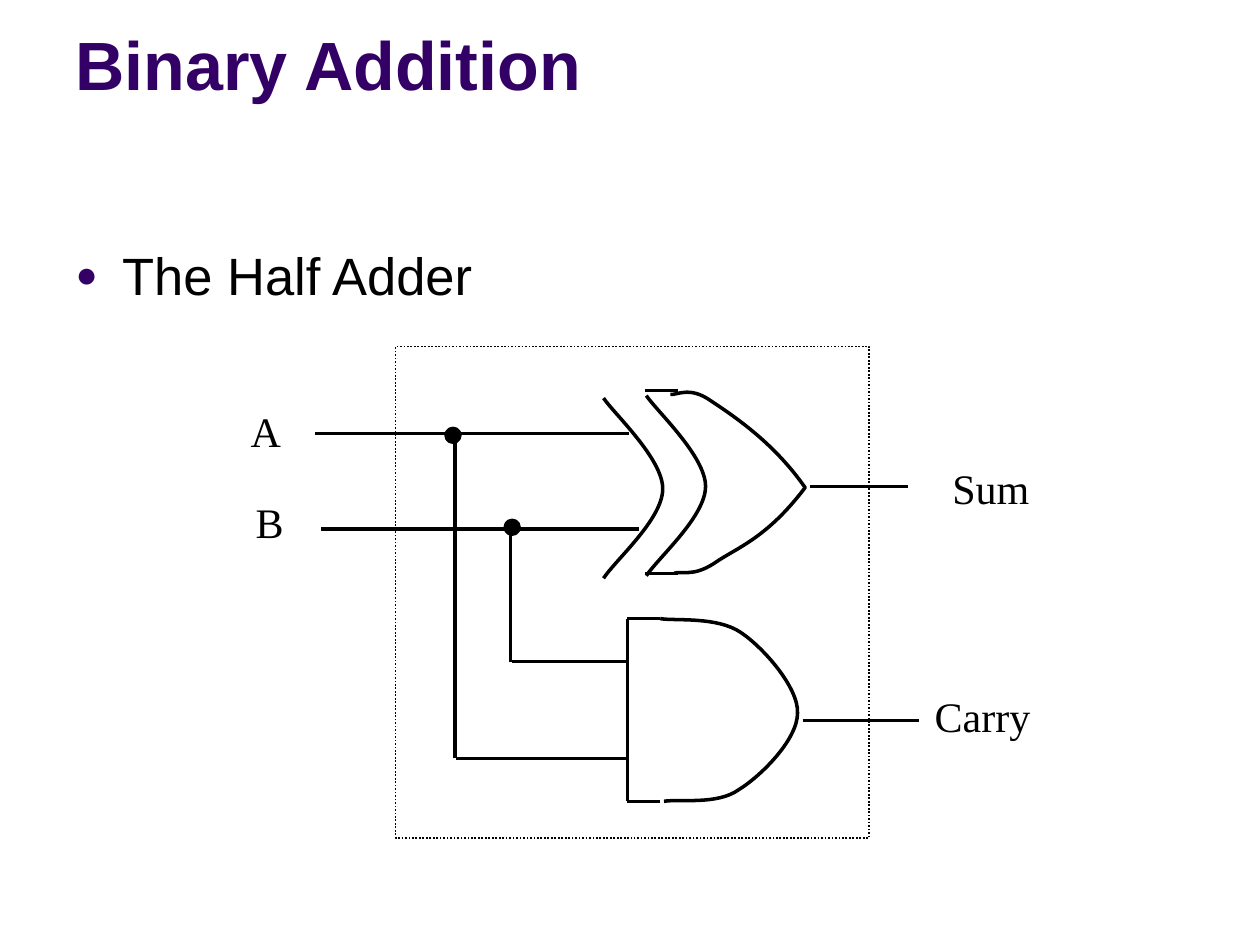
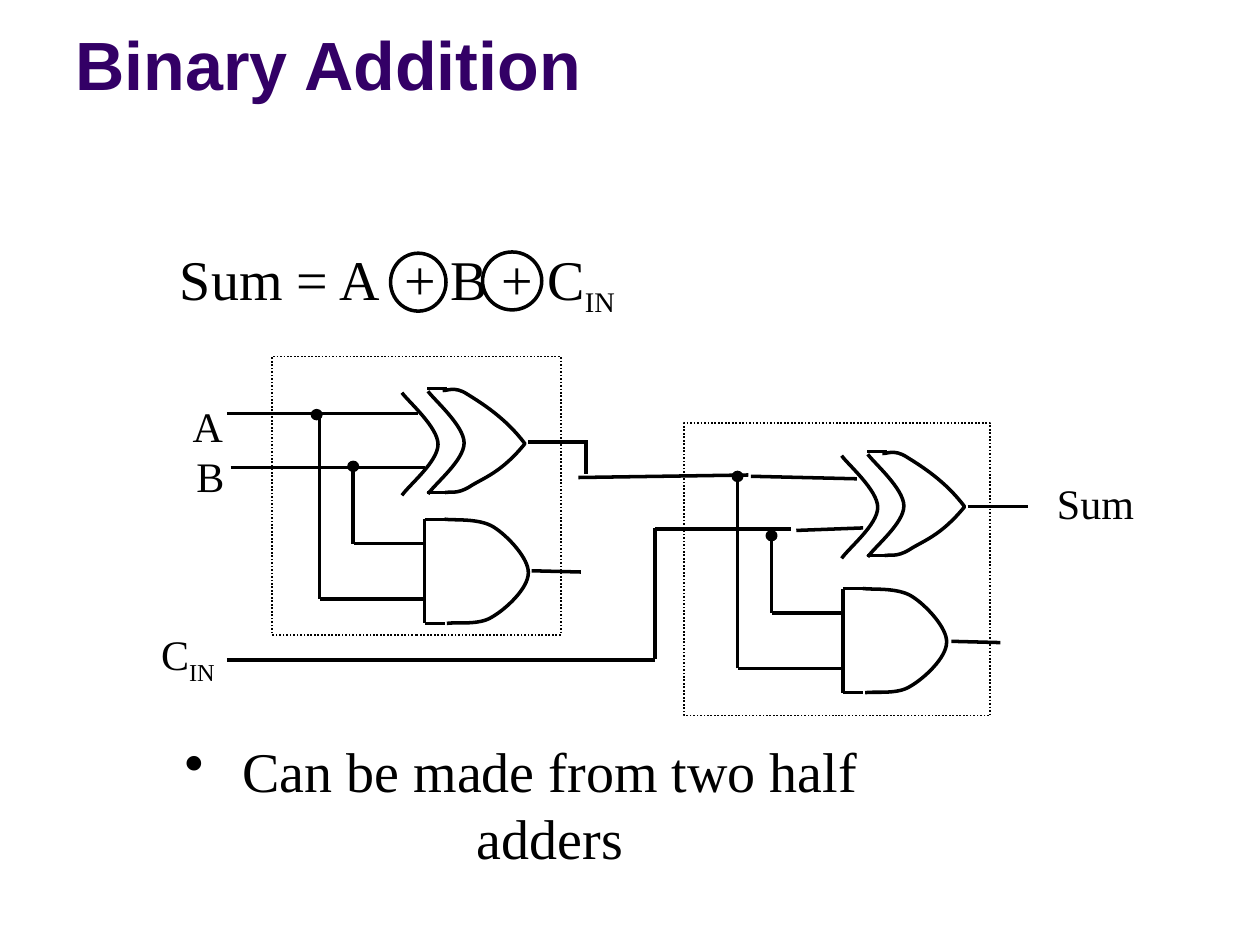
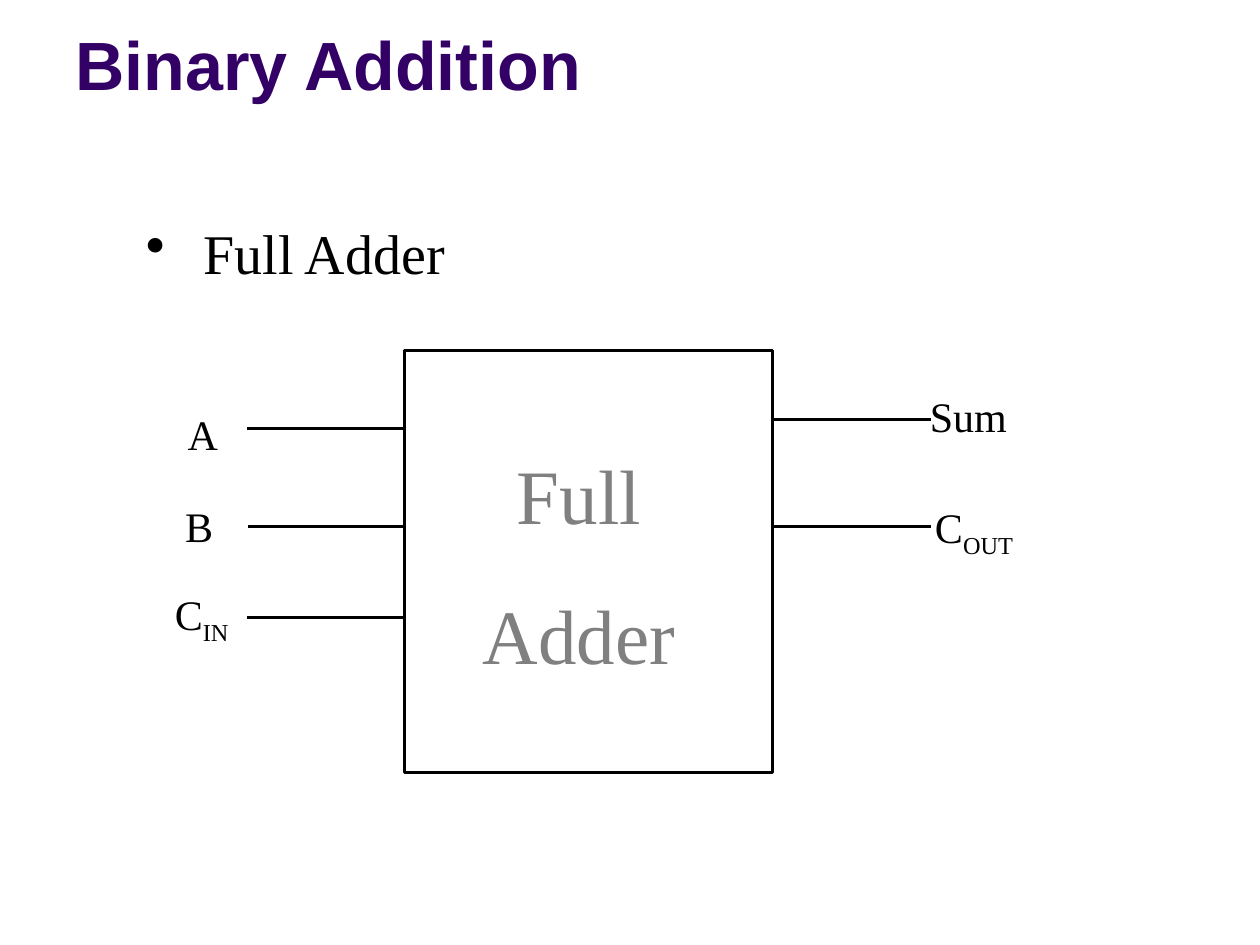
from dataclasses import dataclass

from lxml import etree
from pptx import Presentation
from pptx.dml.color import RGBColor
from pptx.enum.dml import MSO_LINE
from pptx.enum.shapes import MSO_CONNECTOR, MSO_SHAPE
from pptx.enum.text import MSO_ANCHOR, MSO_AUTO_SIZE, PP_ALIGN
from pptx.oxml.ns import qn
from pptx.util import Inches, Pt

STRAIGHT = MSO_CONNECTOR.STRAIGHT
RECT, OVAL = MSO_SHAPE.RECTANGLE, MSO_SHAPE.OVAL
TOP, MIDDLE = MSO_ANCHOR.TOP, MSO_ANCHOR.MIDDLE
LEFT, CENTER = PP_ALIGN.LEFT, PP_ALIGN.CENTER
DOTTED = MSO_LINE.ROUND_DOT
NO_FIT = MSO_AUTO_SIZE.NONE


@dataclass(frozen=True)
class Theme:
    """Colours, fonts and sizes of the deck."""

    ink: str = "000000"
    accent: str = "330066"
    gray: str = "808080"
    sans: str = "Arial"
    serif: str = "Times New Roman"
    title: float = 39
    body: float = 30
    text: float = 32
    label: float = 24
    sub: float = 28
    block: float = 44
    pen: float = 2
    thin: float = 1


THEME = Theme()

BACK = [(0.34, 0.08), (0.42, 0.2), (0.81, 0.56), (0.81, 0.8),
        (0.81, 1.04), (0.44, 1.36), (0.34, 1.51)]
NOSE = [(0.53, 0.07), (0.58, 0.08), (0.68, 0), (0.85, 0.12),
        (1.03, 0.24), (1.35, 0.45), (1.6, 0.81),
        (1.29, 1.22), (1.05, 1.29), (0.88, 1.41),
        (0.71, 1.52), (0.63, 1.47), (0.56, 1.49)]
BOWL = [(0.26, 0.02), (0.37, 0.04), (0.71, 0), (0.9, 0.13),
        (1.08, 0.25), (1.36, 0.57), (1.35, 0.77),
        (1.35, 0.98), (1.06, 1.27), (0.88, 1.38),
        (0.71, 1.5), (0.41, 1.45), (0.29, 1.47)]


def color(code):
    """Turn a hex code into a colour."""
    return RGBColor.from_string(code)


def write(para, text, size, face=THEME.serif, ink=THEME.ink, bold=False, low=False):
    """Add one run to a paragraph."""
    run = para.add_run()
    run.text = text
    font = run.font
    font.size, font.name, font.bold = Pt(size), face, bold
    font.color.rgb = color(ink)
    if low:
        run._r.get_or_add_rPr().set("baseline", "-25000")


def bullet(para, mark, ink, indent, percent=100):
    """Give a paragraph a hanging bullet."""
    props = para._p.get_or_add_pPr()
    props.set("marL", str(Inches(indent)))
    props.set("indent", str(-Inches(indent)))
    tint = etree.SubElement(props, qn("a:buClr"))
    etree.SubElement(tint, qn("a:srgbClr"), val=ink)
    etree.SubElement(props, qn("a:buSzPct"), val=str(percent * 1000))
    etree.SubElement(props, qn("a:buChar"), char=mark)


def setup(frame, anchor=TOP, wrap=True):
    """Set the common margins, fit and anchor of a text frame."""
    frame.auto_size, frame.word_wrap = NO_FIT, wrap
    frame.vertical_anchor = anchor
    frame.margin_left = frame.margin_right = Inches(0.1)
    frame.margin_top = frame.margin_bottom = Inches(0.05)


def style(para, before=0, align=LEFT):
    """Set the spacing and alignment of a paragraph."""
    para.space_before, para.alignment = Pt(before), align


def place(shape, box):
    """Move a shape to a box in inches."""
    shape.left, shape.top, shape.width, shape.height = map(Inches, box)


def label(slide, box, text, low="", size=THEME.label, small=THEME.label,
          align=LEFT, anchor=TOP, ink=THEME.ink, before=15, mark=False):
    """Add a text box, with an optional subscript or bullet."""
    frame = slide.shapes.add_textbox(*map(Inches, box)).text_frame
    setup(frame, anchor, wrap=mark or align == LEFT)
    for row, part in enumerate(text.split("\n")):
        para = frame.add_paragraph() if row else frame.paragraphs[0]
        style(para, before, align)
        if mark:
            bullet(para, "•", THEME.ink, 0.46)
        write(para, part, size, ink=ink)
    if low:
        write(para, low, small, low=True)


def stroke(shape, width=THEME.pen):
    """Draw the outline of a shape in ink."""
    shape.line.color.rgb = color(THEME.ink)
    shape.line.width = Pt(width)


def outline(slide, kind, box, width=THEME.pen, solid=False):
    """Add a preset shape, open or solid."""
    shape = slide.shapes.add_shape(kind, *map(Inches, box))
    shape.shadow.inherit = False
    stroke(shape, width)
    if solid:
        shape.fill.solid()
        shape.fill.fore_color.rgb = color(THEME.ink)
    else:
        shape.fill.background()
    return shape


def bend(shape):
    """Turn each three segments of an outline into one cubic curve."""
    sides = list(shape._element.iter(qn("a:lnTo")))
    for first, *rest in zip(*[iter(sides)] * 3):
        first.tag = qn("a:cubicBezTo")
        for side in rest:
            first.append(side[0])
            side.getparent().remove(side)


@dataclass
class View:
    """A drawing area with its own origin and scale."""

    slide: object
    x: float = 0
    y: float = 0
    wide: float = 1
    high: float = 1

    def spot(self, x, y):
        """Map a point to the slide."""
        return Inches(self.x + x * self.wide), Inches(self.y + y * self.high)

    def wires(self, *ends):
        """Draw straight wires."""
        for x1, y1, x2, y2 in ends:
            wire = self.slide.shapes.add_connector(
                STRAIGHT, *self.spot(x1, y1), *self.spot(x2, y2))
            stroke(wire)
            etree.SubElement(wire._element.spPr, qn("a:effectLst"))

    def curve(self, knots):
        """Draw an open curve."""
        first, *rest = [self.spot(*knot) for knot in knots]
        pen = self.slide.shapes.build_freeform(*first)
        pen.add_line_segments(rest, close=False)
        shape = pen.convert_to_shape()
        bend(shape)
        shape.shadow.inherit = False
        shape.fill.background()
        stroke(shape)


def xor_gate(view):
    """Draw an exclusive-or gate."""
    view.wires(*((0.33, y, 0.59, y) for y in (0.04, 1.49)))
    view.curve(NOSE)
    view.curve(BACK)
    view.curve([(x - 0.34, y + 0.02) for x, y in BACK])


def and_gate(view):
    """Draw an and gate with the two branches that feed it."""
    view.wires((0, 0.02, 0, 1.47), *((0, y, 0.26, y) for y in (0.02, 1.47)))
    view.curve(BOWL)
    for x, top, y in ((-0.93, -0.68, 0.36), (-1.37, -1.46, 1.13)):
        view.wires((x, y, x, top), (x + 0.01, y, 0, y))


def half(slide, box, xor, gate, dots, wires, scale=(1, 1)):
    """Draw a half adder in a dotted frame."""
    left, top = box[:2]
    outline(slide, RECT, box, THEME.thin).line.dash_style = DOTTED
    xor_gate(View(slide, left + xor[0], top + xor[1], *scale))
    and_gate(View(slide, left + gate[0], top + gate[1], *scale))
    View(slide, left, top).wires(*wires)
    for x, y in dots:
        size = [0.11 * part for part in scale]
        outline(slide, OVAL, (left + x, top + y, *size), solid=True)


def start(deck, layout):
    """Add a slide with the shared title."""
    slide = deck.slides.add_slide(deck.slide_layouts[layout])
    title = slide.shapes.title
    place(title, (0.5, 0.13, 7.34, 1.42))
    setup(title.text_frame)
    para = title.text_frame.paragraphs[0]
    style(para)
    write(para, "Binary Addition", THEME.title, THEME.sans, THEME.accent, True)
    return slide


def half_slide(deck):
    """Build the half adder slide."""
    slide = start(deck, 1)
    body = slide.placeholders[1]
    place(body, (0.5, 1.88, 9, 4.82))
    setup(body.text_frame)
    para = body.text_frame.paragraphs[0]
    style(para, 7.5)
    bullet(para, "●", THEME.accent, 0.37, 70)
    write(para, "The Half Adder", THEME.body, THEME.sans)
    half(slide, (3.14, 2.75, 3.76, 3.9), (1.65, 0.31), (1.84, 2.14),
         [(0.4, 0.65), (0.87, 1.38)],
         [(-0.64, 0.69, 1.85, 0.69), (-0.59, 1.45, 1.93, 1.45),
          (3.29, 1.11, 4.07, 1.11), (3.23, 2.97, 4.15, 2.97)])
    for x, y, wide, text in ((1.89, 3.17, 1.42, "A"), (1.93, 3.89, 1.42, "B"),
                             (7.46, 3.62, 1, "Sum"), (7.32, 5.43, 1, "Carry")):
        label(slide, (x, y, wide, 0.5), text)


def pair_slide(deck):
    """Build the slide that joins two half adders."""
    slide = start(deck, 5)
    label(slide, (1.33, 1.89, 3.7, 0.69), "Sum = A  + B + C", "IN",
          THEME.text, THEME.sub, anchor=MIDDLE, before=17.5)
    for box in ((3.83, 2, 0.47, 0.46), (3.1, 2.01, 0.44, 0.46)):
        outline(slide, OVAL, box)
    scale = (0.61, 0.57)
    half(slide, (2.16, 2.83, 2.29, 2.21), (1.03, 0.23), (1.21, 1.28),
         [(0.32, 0.43), (0.61, 0.84)],
         [(-0.36, 0.45, 1.16, 0.45), (-0.33, 0.88, 1.21, 0.88),
          (2.03, 0.68, 2.51, 0.68), (2.06, 1.7, 2.45, 1.71)], scale)
    half(slide, (5.43, 3.36, 2.43, 2.32), (1.25, 0.2), (1.26, 1.3),
         [(0.39, 0.39), (0.66, 0.86)],
         [(0.53, 0.42, 1.37, 0.44), (0.89, 0.85, 1.42, 0.83),
          (2.25, 0.66, 2.73, 0.66), (2.12, 1.73, 2.51, 1.74)], scale)
    View(slide).wires((4.65, 3.76, 4.65, 3.51), (4.59, 3.79, 5.94, 3.77),
                      (1.8, 5.24, 5.2, 5.24), (5.2, 5.23, 5.2, 4.19),
                      (5.2, 4.2, 6.28, 4.2))
    label(slide, (1.43, 3.13, 0.86, 0.5), "A")
    label(slide, (1.46, 3.53, 0.86, 0.5), "B")
    label(slide, (1.18, 4.94, 1.29, 0.56), "C", "IN")
    label(slide, (8.29, 3.74, 1.29, 0.5), "Sum")
    label(slide, (0.77, 6.06, 6.73, 0.64), "Can be made from two half adders",
          size=THEME.text, align=CENTER, anchor=MIDDLE, before=20, mark=True)


def full_slide(deck):
    """Build the full adder slide."""
    slide = start(deck, 5)
    label(slide, (1.06, 1.68, 7.4, 0.64), "Full Adder", size=THEME.text,
          anchor=MIDDLE, before=20, mark=True)
    outline(slide, RECT, (3.21, 2.78, 2.92, 3.35))
    pins = [(1.96, 3.4), (1.97, 4.18), (1.96, 4.9), (6.14, 3.33), (6.14, 4.18)]
    View(slide).wires(*((x, y, x + 1.25, y) for x, y in pins))
    for box, text, low in (((1.39, 3.19, 0.44, 0.5), "A", ""),
                           ((1.37, 3.92, 0.42, 0.5), "B", ""),
                           ((1.29, 4.62, 0.62, 0.56), "C", "IN"),
                           ((7.32, 3.93, 0.82, 0.56), "C", "OUT"),
                           ((7.28, 3.05, 0.81, 0.5), "Sum", "")):
        label(slide, box, text, low, align=CENTER, anchor=MIDDLE)
    label(slide, (3.73, 3.5, 1.73, 1.95), "Full\nAdder", size=THEME.block,
          align=CENTER, anchor=MIDDLE, ink=THEME.gray, before=27.5)


def main():
    """Build and save the deck."""
    deck = Presentation()
    deck.slide_width, deck.slide_height = Inches(10), Inches(7.5)
    for build in (half_slide, pair_slide, full_slide):
        build(deck)
    deck.save("out.pptx")


if __name__ == "__main__":
    main()
